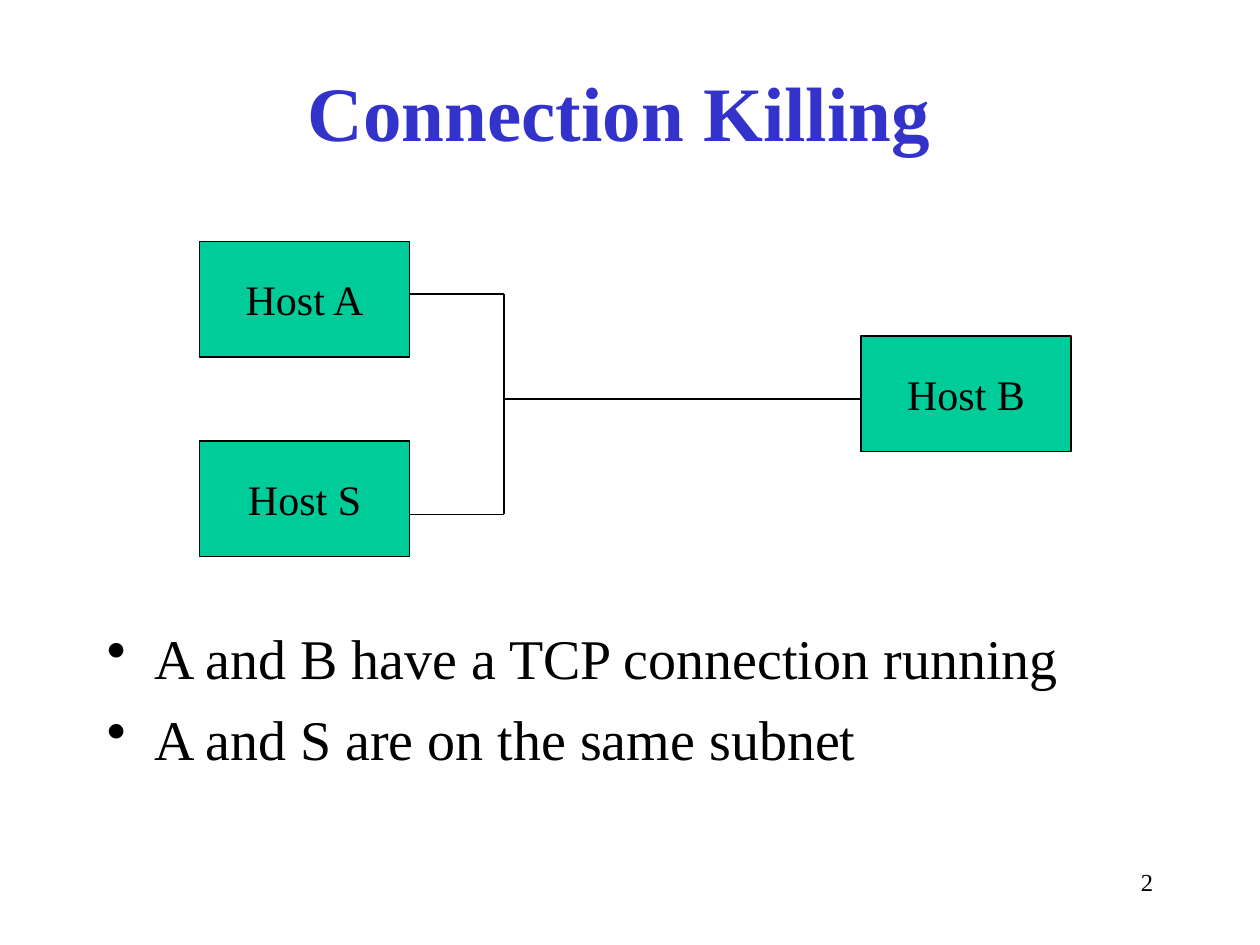
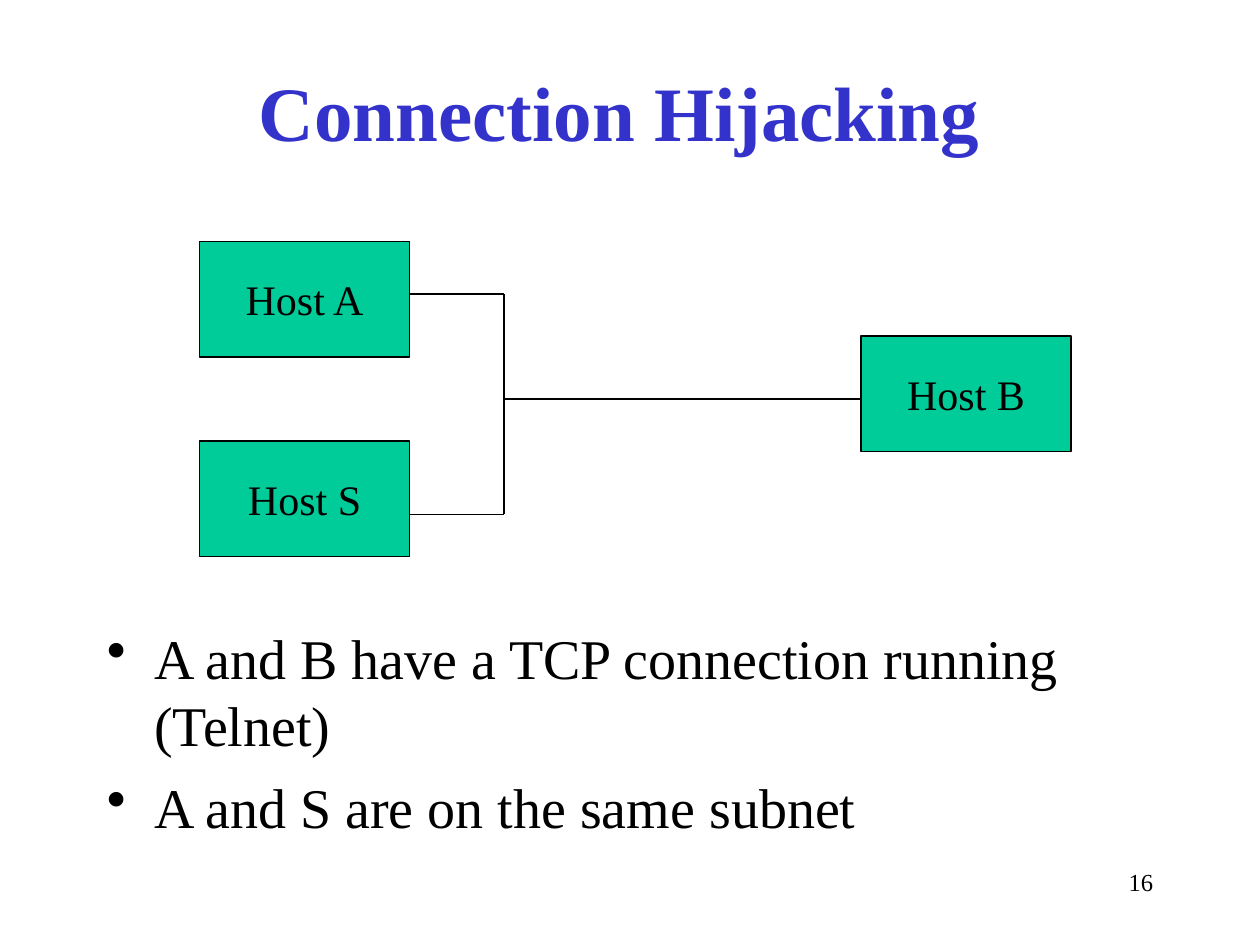
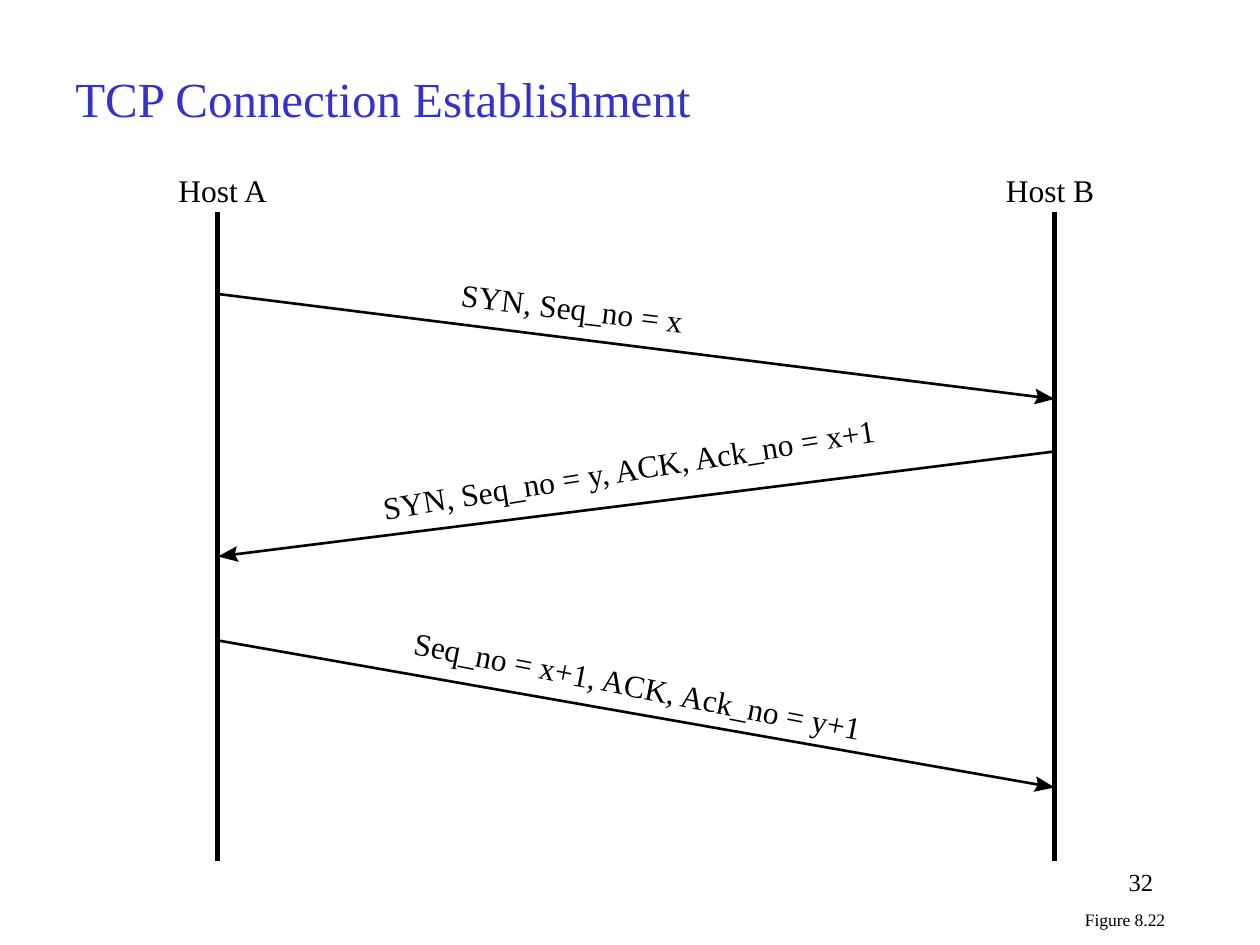
from math import atan2, cos, hypot, sin

from lxml.etree import SubElement
from pptx import Presentation
from pptx.dml.color import RGBColor
from pptx.enum.shapes import MSO_CONNECTOR as Wire, MSO_SHAPE as Form
from pptx.enum.text import MSO_ANCHOR as Anchor, PP_ALIGN as Align
from pptx.oxml.ns import qn
from pptx.util import Inches, Pt

BLUE = RGBColor(0x33, 0x33, 0xCC)
GREEN = RGBColor(0x00, 0xCC, 0x99)
BLACK = RGBColor(0x00, 0x00, 0x00)
FONT = "Times New Roman"
CELL = Inches(1) // 12  # the slide is a grid of 120 columns by 90 rows
LEFT, RIGHT = 20.76, 100.44  # columns of the two lifelines


def cells(*nums):
    return [round(num * CELL) for num in nums]


def style(para, size, color=BLACK, bold=False, align=Align.LEFT):
    para.alignment = align
    for run in para.runs:
        font = run.font
        font.name, font.size, font.bold = FONT, Pt(size), bold
        font.color.rgb = color


def write(slide, text, spot, size, color=BLACK, bold=False, align=Align.LEFT,
          anchor=Anchor.TOP, wrap=True, inset=True):
    box = slide.shapes.add_textbox(*cells(*spot))
    frame = box.text_frame
    frame.text = text
    frame.word_wrap, frame.vertical_anchor = wrap, anchor
    if not inset:
        frame.margin_left = frame.margin_right = 0
        frame.margin_top = frame.margin_bottom = 0
    style(frame.paragraphs[0], size, color, bold, align)
    return box


def label(slide, text, spot, turn=0):
    box = write(slide, text, spot, 18, wrap=False, inset=False)
    box.rotation = turn


def title(slide, text):
    write(slide, text, (8, 3, 102, 15), 44, BLUE, True, Align.CENTER,
          Anchor.MIDDLE)


def number(slide, num):
    write(slide, str(num), (86, 82, 25, 6), 14, align=Align.RIGHT)


def bullets(slide, items):
    box = write(slide, "\n".join(items), (9, 58.8, 102, 21.2), 32)
    for place, para in enumerate(box.text_frame.paragraphs):
        if place:
            para.space_before = Pt(8)
        style(para, 32)
        props = para._p.get_or_add_pPr()
        indent = round(4.5 * CELL)
        props.set("marL", str(indent))
        props.set("indent", str(-indent))
        tint = SubElement(props, qn("a:buClr"))
        SubElement(tint, qn("a:srgbClr"), val=str(BLACK))
        SubElement(props, qn("a:buChar"), char="•")


def line(slide, x1, y1, x2, y2, width=0.75):
    wire = slide.shapes.add_connector(Wire.STRAIGHT, *cells(x1, y1, x2, y2))
    wire.line.color.rgb = BLACK
    wire.line.width = Pt(width)
    SubElement(wire._element.spPr, qn("a:effectLst"))


def arrow(slide, x1, y1, x2, y2):
    """Draw a line that ends in a swept head with its tip at x2, y2."""
    angle = atan2(y2 - y1, x2 - x1)

    def behind(back, side):
        return cells(x2 - back * cos(angle) - side * sin(angle),
                     y2 - back * sin(angle) + side * cos(angle))

    notch = 1.6
    share = 1 - notch / hypot(x2 - x1, y2 - y1)
    line(slide, x1, y1, x1 + share * (x2 - x1), y1 + share * (y2 - y1), 1.5)
    pen = slide.shapes.build_freeform(*cells(x2, y2))
    pen.add_line_segments([behind(1.9, 0.75), behind(notch, 0),
                           behind(1.9, -0.75)])
    head = pen.convert_to_shape()
    head.shadow.inherit = False
    head.fill.solid()
    head.fill.fore_color.rgb = BLACK
    head.line.fill.background()


def host(slide, name, col, row):
    box = slide.shapes.add_shape(Form.RECTANGLE, *cells(col, row, 20, 11))
    box.shadow.inherit = False
    box.fill.solid()
    box.fill.fore_color.rgb = GREEN
    box.line.color.rgb = BLACK
    box.line.width = Pt(0.75)
    frame = box.text_frame
    frame.text = name
    frame.word_wrap, frame.vertical_anchor = False, Anchor.MIDDLE
    style(frame.paragraphs[0], 24, align=Align.CENTER)


def network(slide):
    host(slide, "Host A", 19, 23)
    host(slide, "Host S", 19, 42)
    bus, top, low = 48, 28, 49
    line(slide, 39, top, bus, top)
    line(slide, bus, top, bus, low)
    line(slide, bus, low, 39, low)
    line(slide, bus, 38, 82, 38)
    host(slide, "Host B", 82, 32)


def attack(slide, name, num, items):
    title(slide, name)
    bullets(slide, items)
    network(slide)
    number(slide, num)


def handshake(slide):
    for name, col, start in (("Host A", LEFT, 17), ("Host B", RIGHT, 95.8)):
        line(slide, col, 20.2, col, 82, 2.86)
        label(slide, name, (start, 16.3, 8.6, 3.6))
    arrow(slide, LEFT, 28, RIGHT, 38)
    arrow(slide, RIGHT, 43, LEFT, 53)
    arrow(slide, LEFT, 61, RIGHT, 75)
    label(slide, "SYN, Seq_no = x", (43.9, 27.5, 21.2, 3.6), 7)
    label(slide, "SYN, Seq_no = y, ACK, Ack_no = x+1",
          (36.2, 42.8, 47.9, 3.6), -9)
    label(slide, "Seq_no = x+1, ACK, Ack_no = y+1",
          (39.1, 63.5, 43.6, 3.6), 11)
    write(slide, "Figure 8.22", (102.1, 86, 10.1, 3.2), 10,
          align=Align.CENTER, anchor=Anchor.MIDDLE, wrap=False)
    write(slide, "TCP Connection Establishment", (6, 5.9, 61, 6.8), 28, BLUE,
          wrap=False)
    number(slide, 32)


def main():
    deck = Presentation()
    deck.slide_width, deck.slide_height = cells(120, 90)
    blank = deck.slide_layouts[6]
    add = deck.slides.add_slide
    subnet = "A and S are on the same subnet"
    running = "A and B have a TCP connection running"
    attack(add(blank), "Connection Killing", 2, [running, subnet])
    attack(add(blank), "Connection Hijacking", 16,
           [running + " (Telnet)", subnet])
    handshake(add(blank))
    deck.save("out.pptx")


if __name__ == "__main__":
    main()
